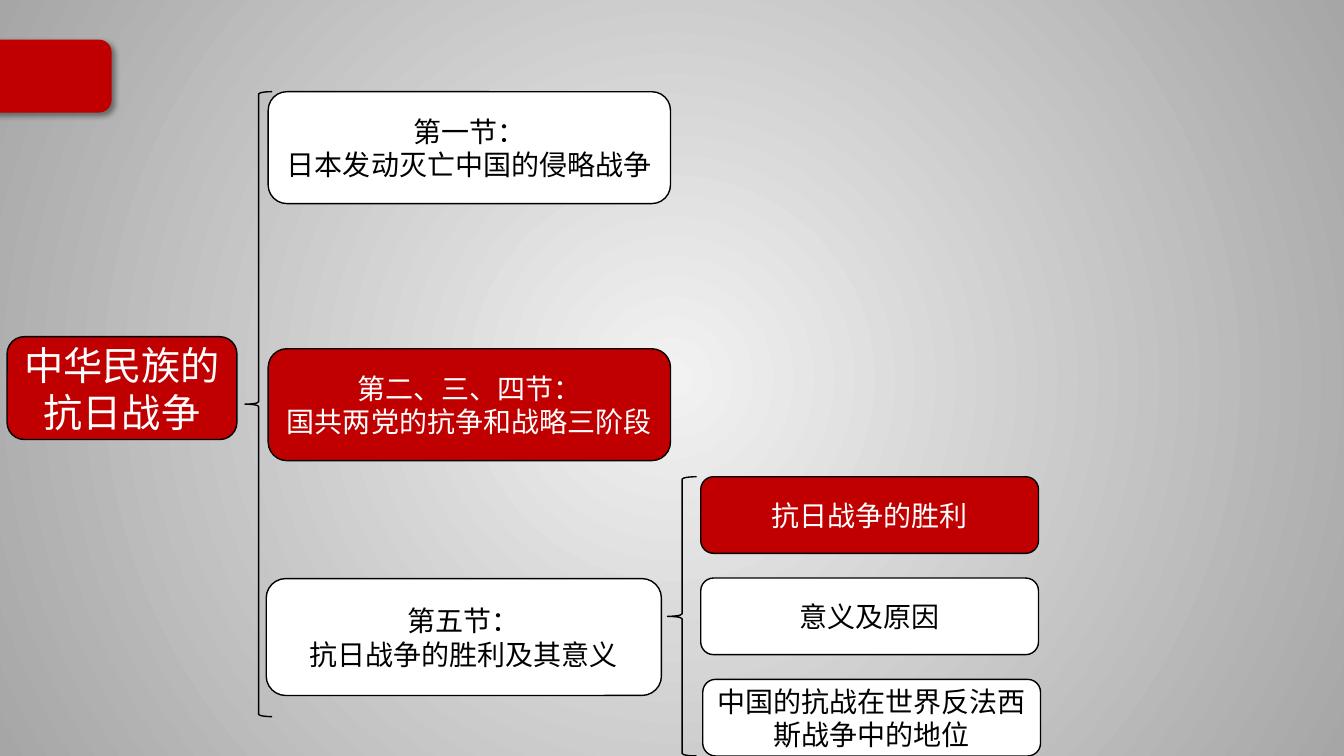
from lxml import etree
from pptx import Presentation
from pptx.dml.color import RGBColor
from pptx.enum import shapes, text
from pptx.oxml import ns, parse_xml
from pptx.util import Inches, Pt

FONT = "Noto Sans CJK SC"
COLORS = {"red": "C00000", "white": "FFFFFF", "black": "000000",
          "center": "F2F2F2", "edge": "A6A6A6"}
KINDS = shapes.MSO_SHAPE


def add_outline(kind, box, fill, line):
    shape = slide.shapes.add_shape(kind, *map(Inches, box))
    shape.shadow.inherit = False
    if fill:
        shape.fill.solid()
        shape.fill.fore_color.rgb = RGBColor.from_string(COLORS[fill])
    else:
        shape.fill.background()
    shape.line.color.rgb = RGBColor.from_string(COLORS[line])
    shape.line.width = Pt(1)
    return shape


def add_topic(box, fill, size, lines):
    shape = add_outline(KINDS.ROUNDED_RECTANGLE, box, fill, "black")
    frame = shape.text_frame
    frame.word_wrap = True
    frame.vertical_anchor = text.MSO_ANCHOR.MIDDLE
    frame.text = "\n".join(lines)
    ink = "white" if fill == "red" else "black"
    for paragraph in frame.paragraphs:
        paragraph.alignment = text.PP_ALIGN.CENTER
        font = paragraph.runs[0].font
        for name, value in {"size": Pt(size), "name": FONT}.items():
            setattr(font, name, value)
        font.color.rgb = RGBColor.from_string(COLORS[ink])
        properties = paragraph.runs[0]._r.get_or_add_rPr()
        etree.SubElement(properties, ns.qn("a:ea"), typeface=FONT)


presentation = Presentation()
presentation.slide_width = Inches(13.33)
presentation.slide_height = Inches(7.5)
slide = presentation.slides.add_slide(presentation.slide_layouts[6])

slide.background.fill.solid()
solid = slide._element.xpath("p:cSld/p:bg/p:bgPr/a:solidFill")[0]
solid.getparent().replace(solid, parse_xml(
    f'<a:gradFill {ns.nsdecls("a")} rotWithShape="1"><a:gsLst>'
    f'<a:gs pos="0"><a:srgbClr val="{COLORS["center"]}"/></a:gs>'
    f'<a:gs pos="100000"><a:srgbClr val="{COLORS["edge"]}"/></a:gs></a:gsLst>'
    '<a:path path="circle"><a:fillToRect l="50000" t="50000" r="50000" b="50000"/>'
    '</a:path></a:gradFill>'))

corner_tab = add_outline(KINDS.ROUNDED_RECTANGLE, (-0.18, 0.4, 1.28, 0.71), "red", "red")
effects = corner_tab._element.spPr.find(ns.qn("a:effectLst"))
effects.append(parse_xml(
    f'<a:outerShdw {ns.nsdecls("a")} blurRad="{Pt(4)}" dist="{Pt(3)}" dir="2700000" '
    f'algn="tl" rotWithShape="0"><a:srgbClr val="{COLORS["black"]}">'
    '<a:alpha val="40000"/></a:srgbClr></a:outerShdw>'))

for brace_box in [(2.43, 0.91, 0.27, 6.2), (6.62, 4.73, 0.29, 2.77)]:
    add_outline(KINDS.LEFT_BRACE, brace_box, None, "black")

add_topic((0.07, 3.34, 2.28, 1.02), "red", 28, ["中华民族的抗日战争"])

sections = [
    ((2.66, 0.91, 3.99, 1.11), "white", ["第一节：", "日本发动灭亡中国的侵略战争"]),
    ((2.66, 3.46, 3.99, 1.11), "red", ["第二、三、四节：", "国共两党的抗争和战略三阶段"]),
    ((2.64, 5.74, 3.92, 1.16), "white", ["第五节：", "抗日战争的胜利及其意义"]),
]
for box, fill, lines in sections:
    add_topic(box, fill, 20, lines)

subtopics = [
    (6.95, "red", "抗日战争的胜利"),
    (6.95, "white", "意义及原因"),
    (6.97, "white", "中国的抗战在世界反法西斯战争中的地位"),
]
for index, (left, fill, label) in enumerate(subtopics):
    add_topic((left, 4.73 + 1.005 * index, 3.35, 0.76), fill, 20, [label])

presentation.save("out.pptx")
